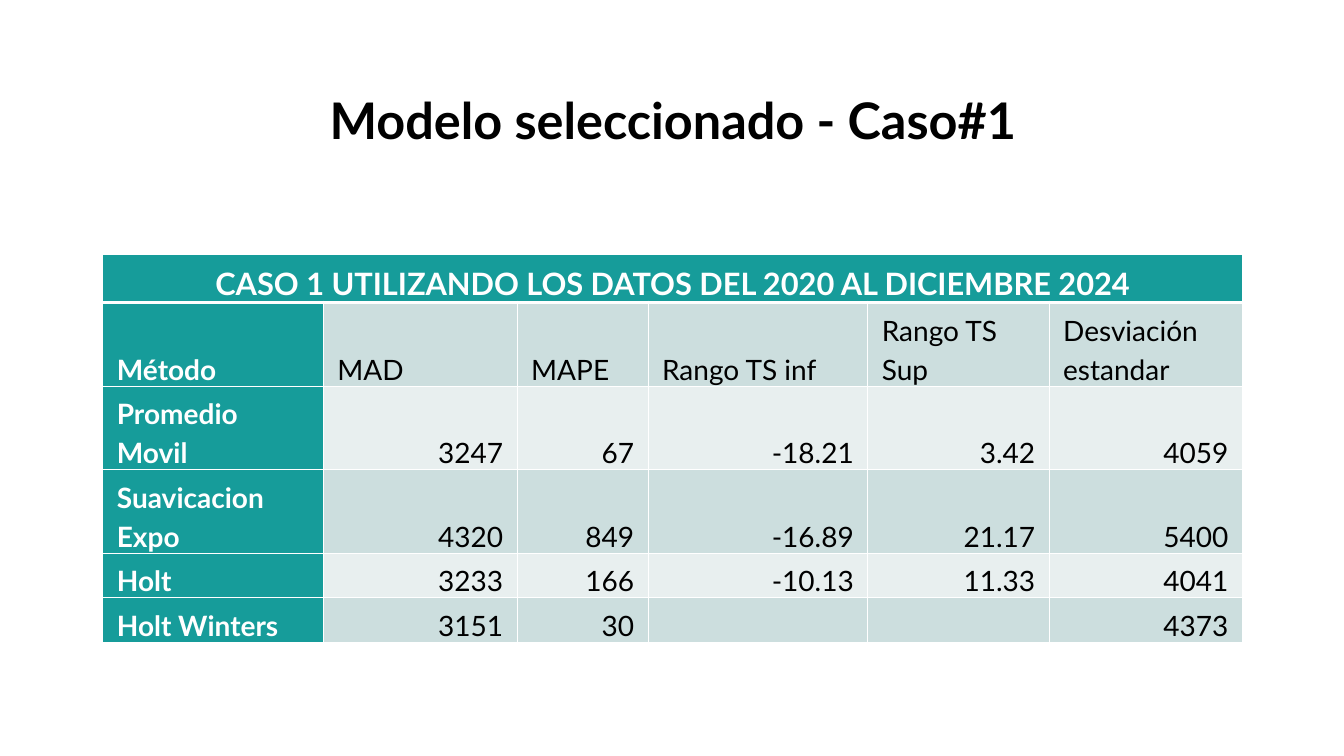
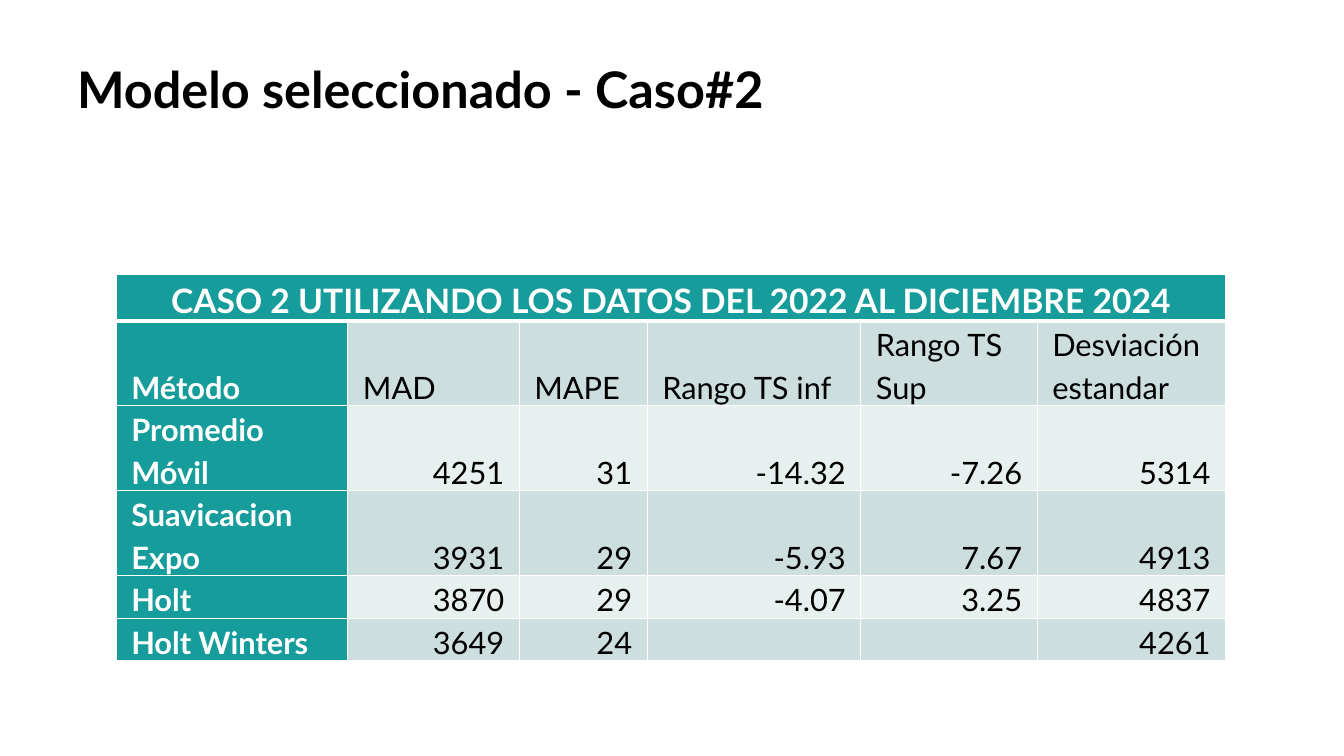
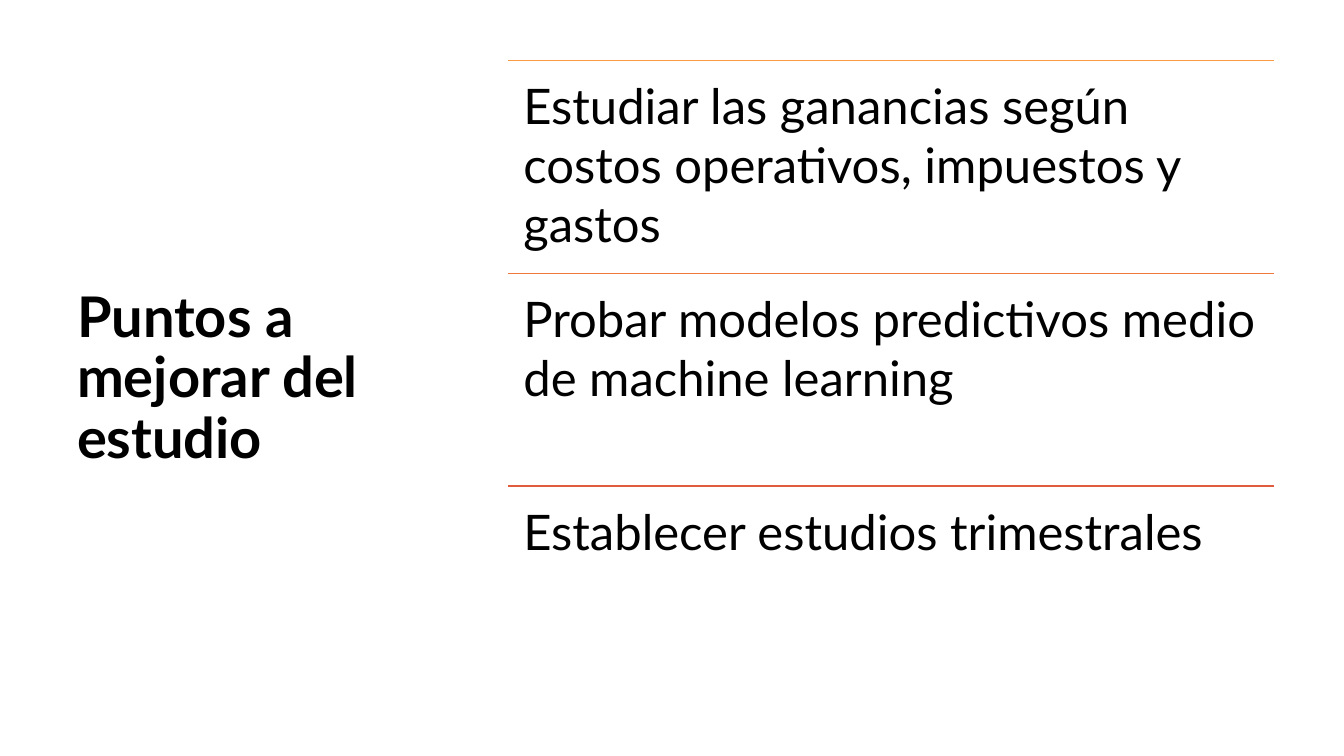
from itertools import product

from lxml import etree
from pptx import Presentation
from pptx.dml.color import RGBColor
from pptx.enum.shapes import MSO_CONNECTOR
from pptx.enum.text import MSO_ANCHOR as Anchor, PP_ALIGN as Align
from pptx.oxml.ns import qn
from pptx.util import Pt

# Shared look
FONT = "Lato"
BLACK = RGBColor(0x00, 0x00, 0x00)
WHITE = RGBColor(0xFF, 0xFF, 0xFF)
TEAL = RGBColor(0x16, 0x9C, 0x9A)
BANDS = (RGBColor(0xE8, 0xEF, 0xEF), RGBColor(0xCC, 0xDE, 0xDE))
TITLE_FORMAT = {"name": FONT, "bold": True, "color": BLACK}
POINT_FORMAT = {"name": FONT, "size": Pt(35), "color": BLACK}
MARGIN, TOP = 48, 43.2
RULE_WIDTH, HEADER_RULE_WIDTH = 1, 3

# Content
COLUMN_NAMES = ("Método", "MAD", "MAPE", "Rango TS inf", "Rango TS Sup", "Desviación estandar")
CASES = [
    {
        "title": "Modelo seleccionado - Caso#1",
        "title_box": (120, TOP, 721.5, 89.3),
        "title_align": Align.CENTER,
        "title_anchor": Anchor.MIDDLE,
        "heading": "CASO 1 UTILIZANDO LOS DATOS DEL 2020 AL DICIEMBRE 2024",
        "rows": [
            ("Promedio Movil", "3247", "67", "-18.21", "3.42", "4059"),
            ("Suavicacion Expo", "4320", "849", "-16.89", "21.17", "5400"),
            ("Holt", "3233", "166", "-10.13", "11.33", "4041"),
            ("Holt Winters", "3151", "30", "", "", "4373"),
        ],
        "corner": (73.5, 181.5),
        "widths": (157.5, 138.5, 93.5, 157, 129.5, 138),
        "heights": (34.5, 59.8, 59.8, 59.8, 31.7, 31.7),
        "size": 20,
        "inset": 10,
    },
    {
        "title": "Modelo seleccionado - Caso#2",
        "title_box": (MARGIN, TOP, 862, 89.3),
        "title_align": Align.LEFT,
        "title_anchor": Anchor.TOP,
        "heading": "CASO 2 UTILIZANDO LOS DATOS DEL 2022 AL DICIEMBRE 2024",
        "rows": [
            ("Promedio Móvil", "4251", "31", "-14.32", "-7.26", "5314"),
            ("Suavicacion Expo", "3931", "29", "-5.93", "7.67", "4913"),
            ("Holt", "3870", "29", "-4.07", "3.25", "4837"),
            ("Holt Winters", "3649", "24", "", "", "4261"),
        ],
        "corner": (83, 196),
        "widths": (165.5, 122.4, 91.4, 152.6, 126, 134.6),
        "heights": (31, 54.7, 54.7, 54.7, 28.8, 28.8),
        "size": 22,
        "inset": 10.8,
    },
]
POINTS_TITLE = "Puntos a mejorar del estudio"
POINTS = [
    ("Estudiar las ganancias según costos operativos, impuestos y gastos", RGBColor(0xFA, 0x9A, 0x42)),
    ("Probar modelos predictivos medio de machine learning", RGBColor(0xEE, 0x79, 0x3F)),
    ("Establecer estudios trimestrales", RGBColor(0xE1, 0x5C, 0x3D)),
]
POINTS_LEFT, POINTS_WIDTH, POINTS_HEIGHT, POINT_INSET = 363, 547, 456, 10.8


def write(para, text, font_format):
    span = para.add_run()
    span.text = text
    for name, value in font_format.items():
        if name == "color":
            span.font.color.rgb = value
        else:
            setattr(span.font, name, value)


def add_text(page, box, text, font_format, anchor=Anchor.TOP, inset=None, **para_format):
    frame = page.shapes.add_textbox(*map(Pt, box)).text_frame
    frame.word_wrap = True
    frame.vertical_anchor = anchor
    if inset is not None:
        for side in ("left", "top", "right", "bottom"):
            setattr(frame, f"margin_{side}", Pt(inset))
    para = frame.paragraphs[0]
    for name, value in para_format.items():
        setattr(para, name, value)
    write(para, text, font_format)


def add_title(page, box, text, size, anchor, align=Align.LEFT):
    add_text(page, box, text, {**TITLE_FORMAT, "size": Pt(size)}, anchor,
             alignment=align, line_spacing=0.9)


def set_borders(cell, row):
    """White rules round a cell, thicker under the heading row."""
    properties = cell._tc.get_or_add_tcPr()
    heavy = {(0, "lnB"), (1, "lnT")}
    for place, tag in enumerate(("lnL", "lnR", "lnT", "lnB")):
        width = HEADER_RULE_WIDTH if (row, tag) in heavy else RULE_WIDTH
        rule = etree.Element(qn(f"a:{tag}"), w=str(Pt(width)))
        fill = etree.SubElement(rule, qn("a:solidFill"))
        etree.SubElement(fill, qn("a:srgbClr"), val=str(WHITE))
        properties.insert(place, rule)


def fill_cell(cell, text, row, column, case):
    strong = row == 0 or column == 0
    cell.fill.solid()
    cell.fill.fore_color.rgb = TEAL if strong else BANDS[row % 2]
    set_borders(cell, row)
    if not text:
        return
    cell.vertical_anchor = Anchor.BOTTOM
    cell.margin_left = cell.margin_right = Pt(case["inset"])
    cell.margin_top = cell.margin_bottom = 0
    para = cell.text_frame.paragraphs[0]
    para.line_spacing, para.space_after = 1.15, Pt(8)
    if row == 0:
        para.alignment = Align.CENTER
    elif row > 1 and column > 0:
        para.alignment = Align.RIGHT
    write(para, text, {
        "name": FONT,
        "size": Pt(case["size"] + (2 if row == 0 else 0)),
        "bold": strong,
        "color": WHITE if strong else BLACK,
    })


def add_case_table(page, case):
    widths, heights = case["widths"], case["heights"]
    heading = (case["heading"],) + ("",) * (len(widths) - 1)
    grid = [heading, COLUMN_NAMES, *case["rows"]]
    box = (*case["corner"], sum(widths), sum(heights))
    table = page.shapes.add_table(len(heights), len(widths), *map(Pt, box)).table
    table.first_row = table.horz_banding = False
    for column, width in zip(table.columns, widths):
        column.width = Pt(width)
    for row, height in zip(table.rows, heights):
        row.height = Pt(height)
    table.cell(0, 0).merge(table.cell(0, len(widths) - 1))
    for row, column in product(range(len(heights)), range(len(widths))):
        fill_cell(table.cell(row, column), grid[row][column], row, column, case)


def add_rule(page, left, top, width, color):
    rule = page.shapes.add_connector(
        MSO_CONNECTOR.STRAIGHT, Pt(left), Pt(top), Pt(left + width), Pt(top))
    rule.line.color.rgb = color
    rule.line.width = Pt(RULE_WIDTH)
    etree.SubElement(rule._element.spPr, qn("a:effectLst"))


def main():
    deck = Presentation()
    deck.slide_width, deck.slide_height = Pt(960), Pt(540)
    blank = deck.slide_layouts[6]

    # Case tables
    for case in CASES:
        page = deck.slides.add_slide(blank)
        add_title(page, case["title_box"], case["title"], 36,
                  case["title_anchor"], case["title_align"])
        add_case_table(page, case)

    # Points to improve
    page = deck.slides.add_slide(blank)
    add_title(page, (MARGIN, TOP, 275, POINTS_HEIGHT), POINTS_TITLE, 40, Anchor.MIDDLE)
    step = POINTS_HEIGHT / len(POINTS)
    for index, (text, color) in enumerate(POINTS):
        top = TOP + index * step
        add_rule(page, POINTS_LEFT, top, POINTS_WIDTH, color)
        add_text(page, (POINTS_LEFT, top, POINTS_WIDTH, step), text, POINT_FORMAT,
                 inset=POINT_INSET)

    deck.save("out.pptx")


if __name__ == "__main__":
    main()
